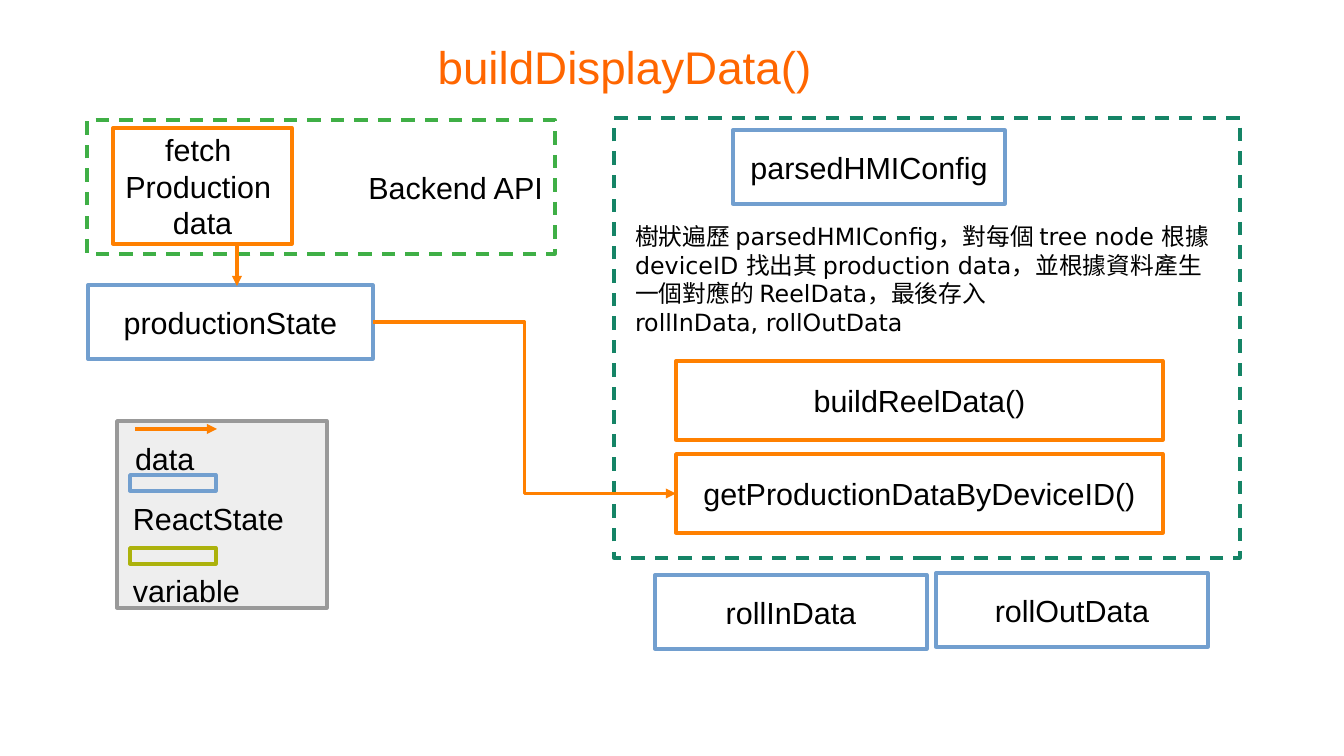
from dataclasses import dataclass

from lxml.etree import SubElement
from pptx import Presentation
from pptx.dml.color import RGBColor
from pptx.enum.dml import MSO_LINE
from pptx.enum.shapes import MSO_CONNECTOR, MSO_SHAPE
from pptx.enum.text import MSO_ANCHOR, MSO_AUTO_SIZE, PP_ALIGN
from pptx.oxml.ns import qn
from pptx.util import Emu, Pt


@dataclass(frozen=True)
class Theme:
    title: str = "FF6600"
    text: str = "000000"
    white: str = "FFFFFF"
    flow: str = "FF8000"
    state: str = "729FCF"
    variable: str = "ACB20C"
    backend: str = "3FAF46"
    builder: str = "158466"
    legend_fill: str = "EEEEEE"
    legend_line: str = "999999"
    font: str = "Arial"
    note_font: str = "DejaVu Sans"
    title_size: int = 27
    body_size: int = 18
    note_size: int = 14
    line_width: float = 1.98


theme = Theme()
PX = 914400 / 122  # EMU in one px


def place(*lengths):
    return [Emu(round(length * PX)) for length in lengths]


def write(shape, text, align=PP_ALIGN.CENTER, size=theme.body_size,
          font=theme.font, color=theme.text):
    shape.text_frame.text = text
    for paragraph in shape.text_frame.paragraphs:
        paragraph.alignment = align
        paragraph.font.size = Pt(size)
        paragraph.font.name = font
        paragraph.font.color.rgb = RGBColor.from_string(color)


deck = Presentation()
deck.slide_width, deck.slide_height = place(1344, 756)
page = deck.slides.add_slide(deck.slide_layouts[5])

# Title
title = page.shapes.title
title.left, title.top, title.width, title.height = place(72, 24, 1105, 84)
write(title, "buildDisplayData()", size=theme.title_size, color=theme.title)
frame = title.text_frame
frame.vertical_anchor = MSO_ANCHOR.MIDDLE
frame.margin_left = frame.margin_right = frame.margin_top = frame.margin_bottom = 0

# Boxes, back to front: text, px bounds, line, fill, dashed, alignment
center, right = PP_ALIGN.CENTER, PP_ALIGN.RIGHT
boxes = [
    ("Backend API", (87, 120, 468, 134), theme.backend, theme.white, True, right),
    ("fetch \nProduction \ndata", (113, 128, 179, 116), theme.flow, theme.white, False, center),
    ("", (614, 118, 626, 440), theme.builder, theme.white, True, center),
    ("", (117, 421, 210, 187), theme.legend_line, theme.legend_fill, False, center),
    ("", (130, 475, 86, 16), theme.state, None, False, center),
    ("", (130, 548, 86, 16), theme.variable, None, False, center),
    ("parsedHMIConfig", (733, 130, 272, 74), theme.state, theme.white, False, center),
    ("productionState", (88, 285, 285, 74), theme.state, theme.white, False, center),
    ("rollInData", (655, 575, 272, 74), theme.state, theme.white, False, center),
    ("rollOutData", (936, 573, 272, 74), theme.state, theme.white, False, center),
    ("getProductionDataByDeviceID()", (676, 454, 487, 79), theme.flow, theme.white, False, center),
    ("buildReelData()", (676, 361, 487, 79), theme.flow, theme.white, False, center),
]
named = {}
for text, bounds, line, fill, dashed, align in boxes:
    box = page.shapes.add_shape(MSO_SHAPE.RECTANGLE, *place(*bounds))
    box.shadow.inherit = False
    box.line.color.rgb = RGBColor.from_string(line)
    box.line.width = Pt(theme.line_width)
    if dashed:
        box.line.dash_style = MSO_LINE.DASH
    if fill:
        box.fill.solid()
        box.fill.fore_color.rgb = RGBColor.from_string(fill)
    else:
        box.fill.background()
    if text:
        write(box, text, align)
        box.text_frame.word_wrap = False
        box.text_frame.vertical_anchor = MSO_ANCHOR.MIDDLE
        named[text] = box

# Legend labels and the note
note = """樹狀遍歷 parsedHMIConfig，對每個 tree node 根據
deviceID 找出其 production data，並根據資料產生
一個對應的 ReelData，最後存入
rollInData, rollOutData"""
labels = [
    ("data", (123, 434, 92, 50), theme.body_size, theme.font),
    ("ReactState", (121, 494, 192, 50), theme.body_size, theme.font),
    ("variable", (121, 566, 192, 50), theme.body_size, theme.font),
    (note, (623, 216, 616, 154), theme.note_size, theme.note_font),
]
for text, bounds, size, font in labels:
    label = page.shapes.add_textbox(*place(*bounds))
    write(label, text, PP_ALIGN.LEFT, size, font)
    label.text_frame.word_wrap = True
    label.text_frame.auto_size = MSO_AUTO_SIZE.SHAPE_TO_FIT_TEXT

# Arrows: legend sample, fetch to state, state to lookup
arrows = [
    page.shapes.add_connector(kind, *place(*ends))
    for kind, ends in [
        (MSO_CONNECTOR.STRAIGHT, (135, 429, 217, 429)),
        (MSO_CONNECTOR.STRAIGHT, (237, 243, 237, 286)),
        (MSO_CONNECTOR.ELBOW, (373, 322, 676, 493)),
    ]
]
arrows[-1].begin_connect(named["productionState"], 3)
arrows[-1].end_connect(named["getProductionDataByDeviceID()"], 1)
for arrow in arrows:
    arrow.line.color.rgb = RGBColor.from_string(theme.flow)
    arrow.line.width = Pt(theme.line_width)
    SubElement(arrow.line._get_or_add_ln(), qn("a:tailEnd"), type="triangle")
    SubElement(arrow._element.spPr, qn("a:effectLst"))

deck.save("out.pptx")
